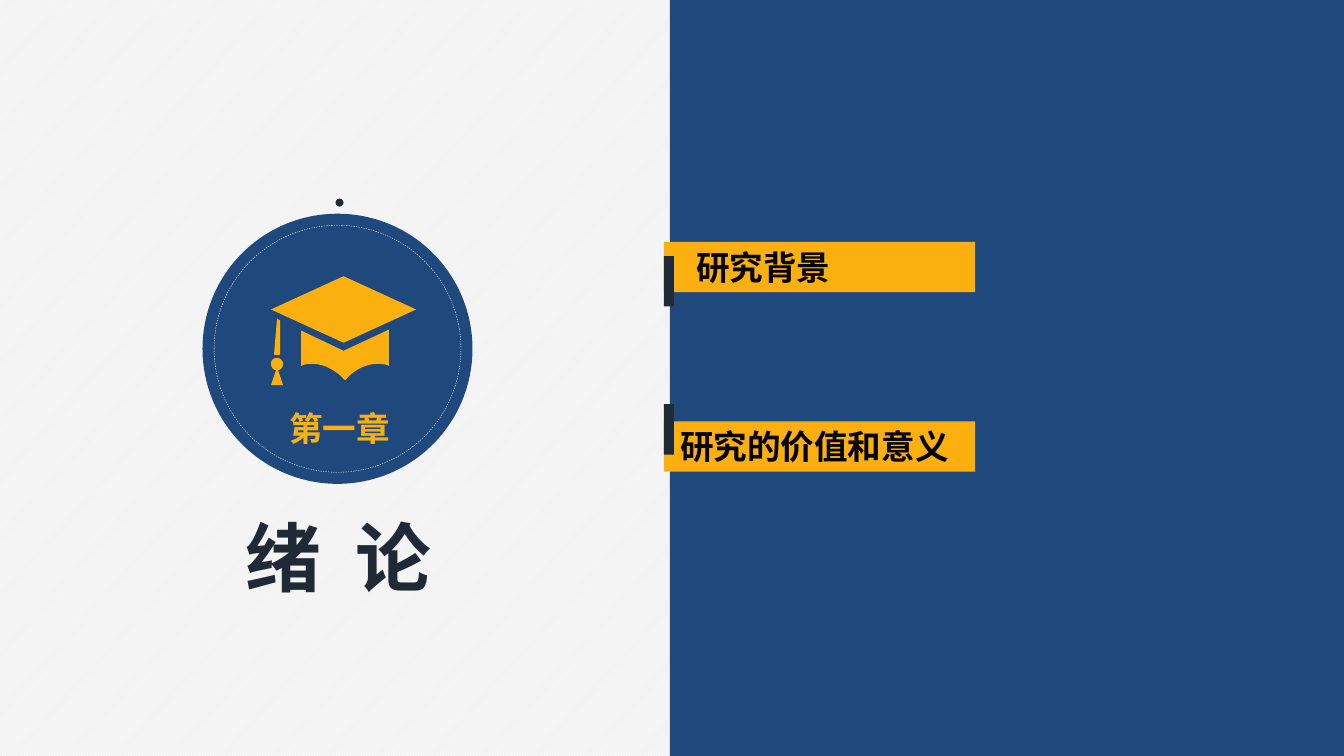
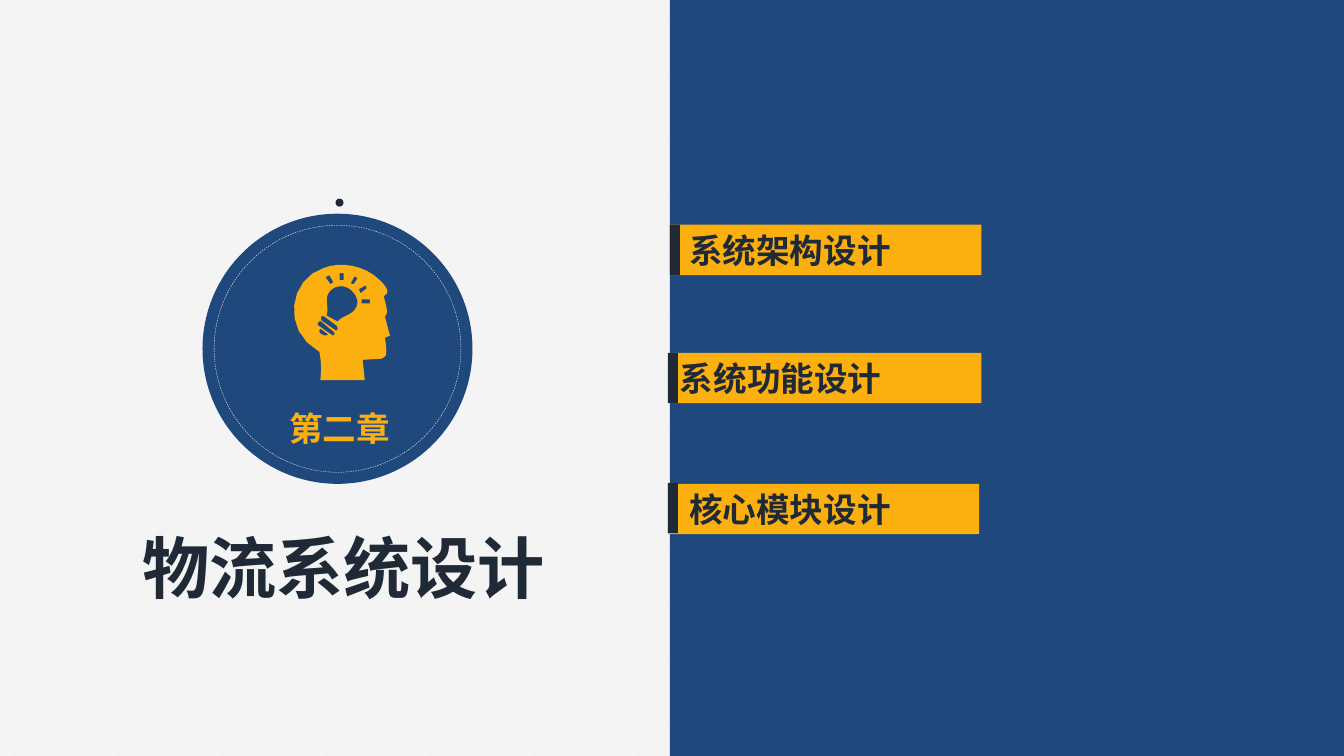
from lxml import etree
from pptx import Presentation
from pptx.dml.color import RGBColor
from pptx.enum.dml import MSO_LINE, MSO_PATTERN
from pptx.enum.shapes import MSO_SHAPE
from pptx.enum.text import MSO_ANCHOR, MSO_AUTO_SIZE, PP_ALIGN
from pptx.oxml.ns import qn
from pptx.util import Inches, Pt

RECT, OVAL = MSO_SHAPE.RECTANGLE, MSO_SHAPE.OVAL
LEFT, CENTER = PP_ALIGN.LEFT, PP_ALIGN.CENTER
TOP, MIDDLE = MSO_ANCHOR.TOP, MSO_ANCHOR.MIDDLE

# Shared look
FONT = "Noto Sans CJK SC"
BLUE, AMBER, INK = "1F497D", "FCB00F", "202A36"
BLACK, WHITE, PALE = "000000", "FFFFFF", "F2F2F2"
WIDTH, HEIGHT = 13.34, 7.5
PANEL_X = 6.65
BAR_W, BAR_H, TAB_W = 3.09, 0.5, 0.1
BADGE_X, BADGE_Y = 3.35, 3.46
TITLE_W = 4.4

# Icon outlines: (x, y) is a straight step, six numbers are a cubic curve
CAP = [
    [(2.99, 3.63), (3.03, 3.61, 3.06, 3.61, 3.11, 3.61),
     (3.23, 3.61, 3.37, 3.7, 3.42, 3.77), (3.43, 3.77),
     (3.48, 3.7, 3.61, 3.61, 3.74, 3.61),
     (3.78, 3.61, 3.82, 3.61, 3.86, 3.63),
     (3.86, 3.27), (3.41, 3.48), (2.99, 3.28)],
    [(3.41, 2.74), (2.69, 3.07), (3.41, 3.4), (4.13, 3.07)],
    [(2.75, 3.16), (2.72, 3.52), (2.78, 3.52), (2.78, 3.18)],
    [(2.81, 3.82), (2.76, 3.67), (2.79, 3.67, 2.81, 3.64, 2.81, 3.61),
     (2.81, 3.58, 2.78, 3.55, 2.75, 3.55),
     (2.71, 3.55, 2.69, 3.58, 2.69, 3.61),
     (2.69, 3.64, 2.71, 3.67, 2.74, 3.67), (2.69, 3.82)],
]
IDEA_HEAD = [
    # profile
    [(3.18, 3.77), (3.19, 3.68, 3.19, 3.58, 3.17, 3.49),
     (2.78, 3.27, 2.88, 2.76, 3.21, 2.66),
     (3.38, 2.59, 3.62, 2.63, 3.77, 2.78),
     (3.89, 2.89, 3.83, 2.92, 3.83, 2.92), (3.81, 2.94),
     (3.82, 2.99, 3.85, 3.09, 3.84, 3.1),
     (3.84, 3.12, 3.82, 3.14, 3.82, 3.14), (3.87, 3.33), (3.82, 3.35),
     (3.83, 3.41, 3.84, 3.46, 3.83, 3.52),
     (3.83, 3.53, 3.8, 3.56, 3.77, 3.56), (3.6, 3.57), (3.62, 3.77)],
    # bulb and its screw base
    [(3.46, 2.86), (3.39, 2.82, 3.3, 2.84, 3.26, 2.91),
     (3.22, 2.98, 3.27, 3.05, 3.24, 3.13), (3.35, 3.19),
     (3.4, 3.13, 3.49, 3.13, 3.53, 3.06),
     (3.57, 3, 3.54, 2.91, 3.46, 2.86)],
    [(3.34, 3.23), (3.22, 3.14), (3.21, 3.13, 3.19, 3.14, 3.19, 3.14),
     (3.18, 3.15, 3.19, 3.17, 3.19, 3.18), (3.32, 3.27),
     (3.33, 3.28, 3.34, 3.28, 3.35, 3.27),
     (3.35, 3.26, 3.35, 3.24, 3.34, 3.23)],
    [(3.31, 3.29), (3.19, 3.19), (3.18, 3.18, 3.16, 3.19, 3.16, 3.2),
     (3.15, 3.21, 3.15, 3.22, 3.16, 3.23), (3.29, 3.32),
     (3.3, 3.33, 3.31, 3.33, 3.32, 3.32),
     (3.32, 3.31, 3.32, 3.29, 3.31, 3.29)],
    [(3.18, 3.26), (3.16, 3.28, 3.17, 3.31, 3.2, 3.32),
     (3.22, 3.33, 3.24, 3.33, 3.26, 3.32)],
    # rays
    [(3.59, 3.01), (3.67, 3.01), (3.67, 2.97), (3.59, 2.97)],
    [(3.31, 2.8), (3.27, 2.73), (3.23, 2.75), (3.28, 2.82)],
    [(3.41, 2.78), (3.41, 2.71), (3.37, 2.71), (3.37, 2.78)],
    [(3.58, 2.91), (3.64, 2.86), (3.63, 2.83), (3.56, 2.87)],
    [(3.51, 2.82), (3.55, 2.76), (3.52, 2.74), (3.48, 2.81)],
]

# Topics: text, bar (x, y), tab (x, y), text indent
CHAPTERS = [
    {"label": "第一章", "icon": CAP, "topic_color": BLACK,
     "title": {"text": "绪 论", "size": 54, "center": 3.36, "y": 5.02,
               "spacing": 6},
     "topics": [("研究背景", (6.59, 2.4), (6.59, 2.54), 0.32),
                ("研究的价值和意义", (6.59, 4.18), (6.59, 4.01), 0.16)]},
    {"label": "第二章", "icon": IDEA_HEAD, "topic_color": INK,
     "title": {"text": "物流系统设计", "size": 48, "center": 3.41, "y": 5.17,
               "spacing": 0},
     "topics": [("系统架构设计", (6.65, 2.23), (6.65, 2.23), 0.19),
                ("系统功能设计", (6.65, 3.5), (6.63, 3.5), 0.1),
                ("核心模块设计", (6.63, 4.8), (6.63, 4.79), 0.21)]},
]


def rgb(value):
    return RGBColor.from_string(value)


def paint(shape, fill):
    shape.shadow.inherit = False
    shape.line.fill.background()
    if fill:
        shape.fill.solid()
        shape.fill.fore_color.rgb = rgb(fill)
    else:
        shape.fill.background()
    return shape


def add_block(s, kind, x, y, w, h, fill=None):
    box = [Inches(v) for v in (x, y, w, h)]
    return paint(s.shapes.add_shape(kind, *box), fill)


def add_circle(s, cx, cy, d, fill=None):
    return add_block(s, OVAL, cx - d / 2, cy - d / 2, d, d, fill)


def write(shape, text, size, color, align=CENTER, anchor=MIDDLE,
          indent=0.1, spacing=0):
    tf = shape.text_frame
    frame_format = {
        "word_wrap": False, "auto_size": MSO_AUTO_SIZE.NONE,
        "vertical_anchor": anchor, "margin_left": Inches(indent),
        "margin_right": Inches(0.1), "margin_top": Inches(0.05),
        "margin_bottom": Inches(0.05)}
    for name, value in frame_format.items():
        setattr(tf, name, value)
    p = tf.paragraphs[0]
    p.alignment = align
    r = p.add_run()
    r.text = text
    for name, value in {"size": Pt(size), "bold": True, "name": FONT}.items():
        setattr(r.font, name, value)
    r.font.color.rgb = rgb(color)
    # East Asian typeface and letter spacing
    props = r._r.get_or_add_rPr()
    etree.SubElement(props, qn("a:ea")).set("typeface", FONT)
    if spacing:
        props.set("spc", str(spacing * 100))


def flatten(contour, steps=8):
    """Turn the curves of a contour into short straight steps."""
    points = [contour[0]]
    for step in contour[1:]:
        if len(step) == 2:
            points.append(step)
            continue
        start = points[-1]
        for i in range(1, steps + 1):
            t = i / steps
            u = 1 - t
            points.append(tuple(
                u**3 * start[k] + 3 * u * u * t * step[k]
                + 3 * u * t * t * step[k + 2] + t**3 * step[k + 4]
                for k in (0, 1)))
    return [(x * 1000, y * 1000) for x, y in points]


def add_icon(s, contours):
    outlines = [flatten(c) for c in contours]
    builder = s.shapes.build_freeform(*outlines[0][0], scale=Inches(1) / 1000)
    for i, points in enumerate(outlines):
        if i:
            builder.move_to(*points[0])
        builder.add_line_segments(points[1:], close=True)
    paint(builder.convert_to_shape(), AMBER)


def add_title(s, text, size, center, y, spacing):
    title = s.shapes.title
    box = {"left": center - TITLE_W / 2, "top": y, "width": TITLE_W,
           "height": 1}
    for name, value in box.items():
        setattr(title, name, Inches(value))
    write(title, text, size, INK, anchor=TOP, spacing=spacing)


def add_topic(s, color, text, bar_at, tab_at, indent):
    bar = add_block(s, RECT, *bar_at, BAR_W, BAR_H, AMBER)
    write(bar, text, 24, color, align=LEFT, indent=indent)
    add_block(s, RECT, *tab_at, TAB_W, BAR_H, INK)


def add_badge(s, label, icon):
    add_circle(s, BADGE_X, BADGE_Y, 2.68, BLUE)
    add_circle(s, BADGE_X + 0.02, 2.01, 0.08, INK)
    ring = add_circle(s, BADGE_X, BADGE_Y, 2.45)
    ring.line.color.rgb = rgb(WHITE)
    ring.line.width = Pt(0.25)
    ring.line.dash_style = MSO_LINE.DASH
    box = [Inches(v) for v in (BADGE_X - 1.28, 3.99, 2.6, 0.52)]
    write(s.shapes.add_textbox(*box), label, 24, AMBER)
    add_icon(s, icon)


def add_chapter(prs, chapter):
    s = prs.slides.add_slide(prs.slide_layouts.get_by_name("Title Only"))
    add_block(s, RECT, PANEL_X, 0, WIDTH - PANEL_X, HEIGHT, BLUE)
    add_title(s, **chapter["title"])
    for topic in chapter["topics"]:
        add_topic(s, chapter["topic_color"], *topic)
    add_badge(s, chapter["label"], chapter["icon"])


def main():
    prs = Presentation()
    prs.slide_width, prs.slide_height = Inches(WIDTH), Inches(HEIGHT)
    # Hatched background for every slide
    fill = prs.slide_master.background.fill
    fill.patterned()
    fill.pattern = MSO_PATTERN.LIGHT_UPWARD_DIAGONAL
    fill.fore_color.rgb = rgb(WHITE)
    fill.back_color.rgb = rgb(PALE)
    for chapter in CHAPTERS:
        add_chapter(prs, chapter)
    prs.save("out.pptx")


if __name__ == "__main__":
    main()
